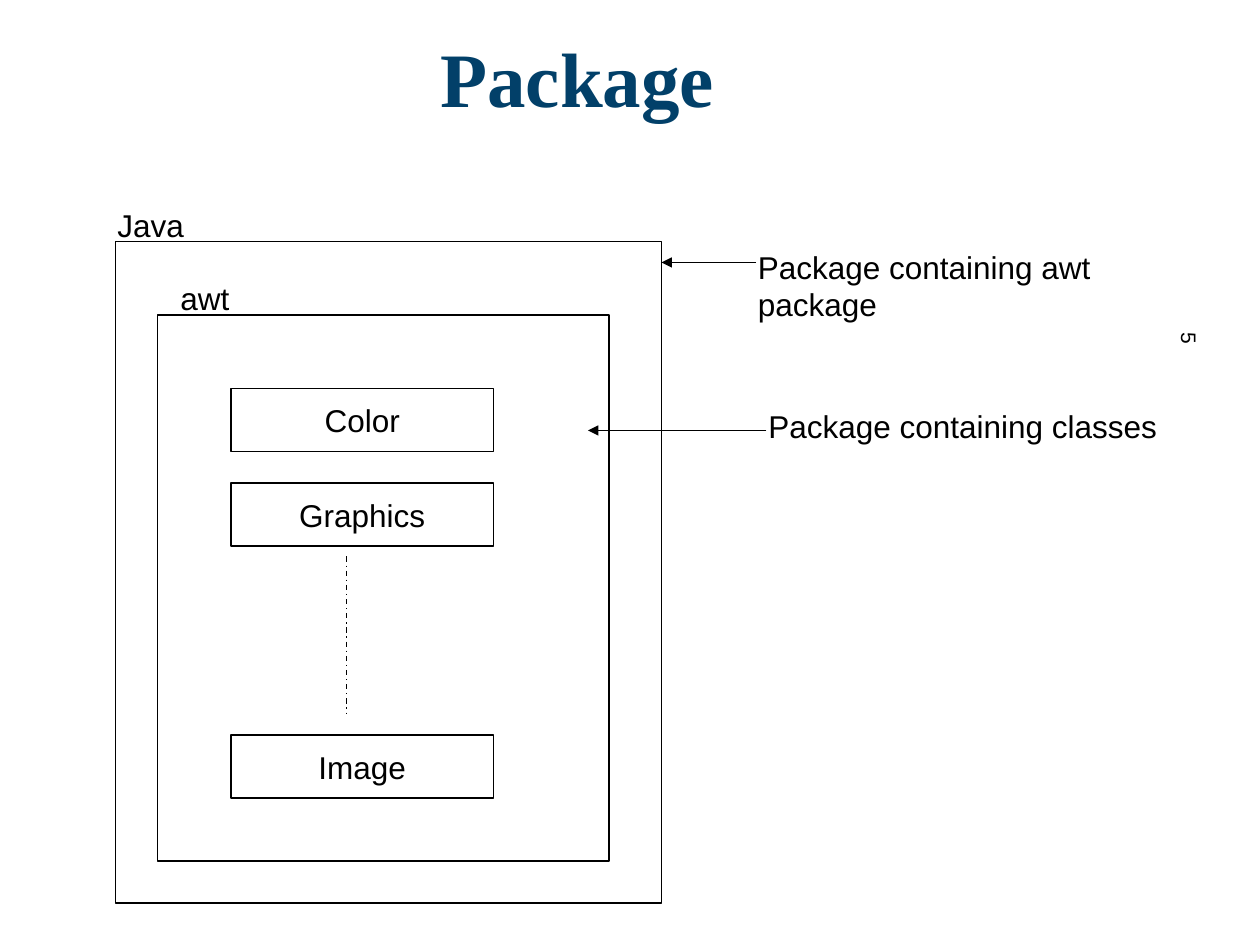
from pptx import Presentation
from pptx import util as u
from pptx.dml.color import RGBColor
from pptx.enum import dml, shapes, text
from pptx.oxml.ns import qn
from lxml import etree

Pt = u.Pt
BLACK = RGBColor(0x00, 0x00, 0x00)
WHITE = RGBColor(0xFF, 0xFF, 0xFF)
NAVY = RGBColor(0x02, 0x40, 0x69)


def write(tf, content, size=18, font="Arial", color=BLACK, bold=False,
          align=text.PP_ALIGN.LEFT, anchor=text.MSO_ANCHOR.TOP, wrap=True):
    tf.word_wrap = wrap
    tf.vertical_anchor = anchor
    p = tf.paragraphs[0]
    p.alignment = align
    r = p.add_run()
    r.text = content
    r.font.name = font
    r.font.size = Pt(size)
    r.font.bold = bold
    r.font.color.rgb = color


class Diagram:
    """Draws elements in one style on the current slide; lengths in points."""

    def __init__(self, slide, line_width=0.75):
        self.slide = slide
        self.line_width = line_width

    def label(self, content, x, y, w, h=29, rotation=0, **fmt):
        sp = self.slide.shapes.add_textbox(Pt(x), Pt(y), Pt(w), Pt(h))
        sp.rotation = rotation
        write(sp.text_frame, content, **fmt)

    def box(self, x, y, w, h, content=None):
        sp = self.slide.shapes.add_shape(
            shapes.MSO_SHAPE.RECTANGLE, Pt(x), Pt(y), Pt(w), Pt(h))
        sp.shadow.inherit = False
        sp.fill.solid()
        sp.fill.fore_color.rgb = WHITE
        sp.line.color.rgb = BLACK
        sp.line.width = Pt(self.line_width)
        if content:
            write(sp.text_frame, content, align=text.PP_ALIGN.CENTER,
                  anchor=text.MSO_ANCHOR.MIDDLE, wrap=False)

    def line(self, x1, y1, x2, y2, dash=None, arrow=False):
        cn = self.slide.shapes.add_connector(
            shapes.MSO_CONNECTOR.STRAIGHT, Pt(x1), Pt(y1), Pt(x2), Pt(y2))
        cn.line.color.rgb = BLACK
        cn.line.width = Pt(self.line_width)
        if dash:
            cn.line.dash_style = dash
        if arrow:
            ln = cn.line._get_or_add_ln()
            etree.SubElement(ln, qn("a:tailEnd"), type="triangle")
        etree.SubElement(cn._element.spPr, qn("a:effectLst"))


def main():
    prs = Presentation()
    prs.slide_width, prs.slide_height = Pt(720), Pt(540)
    s = prs.slides.add_slide(prs.slide_layouts[6])
    d = Diagram(s)

    d.label("5", 550, 294.5, 252, rotation=90, size=12)
    d.label("Package", 36, 21.5, 588, 45, size=44, font="Times New Roman",
            color=NAVY, bold=True, align=text.PP_ALIGN.CENTER,
            anchor=text.MSO_ANCHOR.MIDDLE)

    # Nested packages, then the classes inside awt
    d.box(66, 138, 312, 378)
    d.box(90, 180, 258, 312)
    for name, y in (("Color", 222), ("Graphics", 276), ("Image", 420)):
        d.box(132, y, 150, 36, name)
    d.line(198, 318, 198, 408, dash=dml.MSO_LINE.DASH_DOT)

    d.label("Java", 60, 114, 144)
    d.label("awt", 96, 156, 162)
    d.label("Package containing awt package", 426, 138, 252)
    d.label("Package containing classes", 432, 229, 252)
    d.line(432, 150, 378, 150, arrow=True)
    d.line(438, 246, 336, 246, arrow=True)

    prs.save("out.pptx")


if __name__ == "__main__":
    main()
